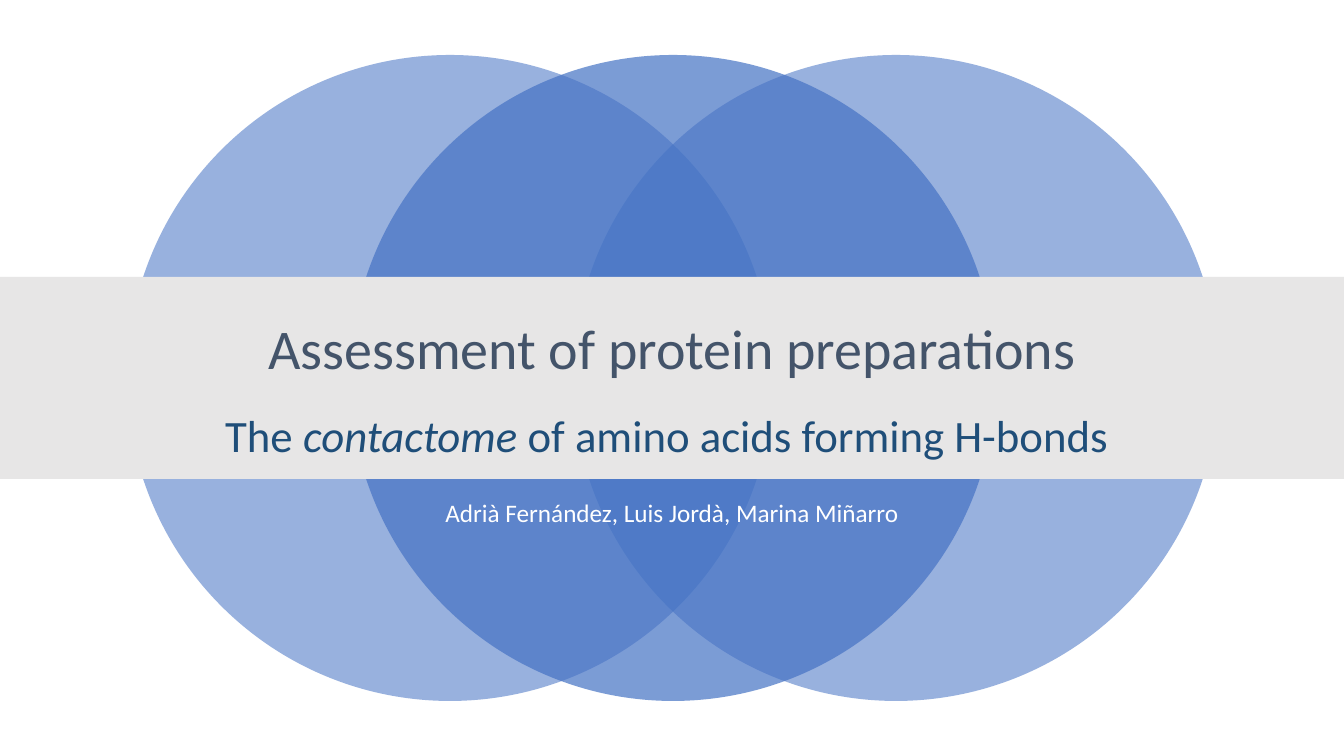
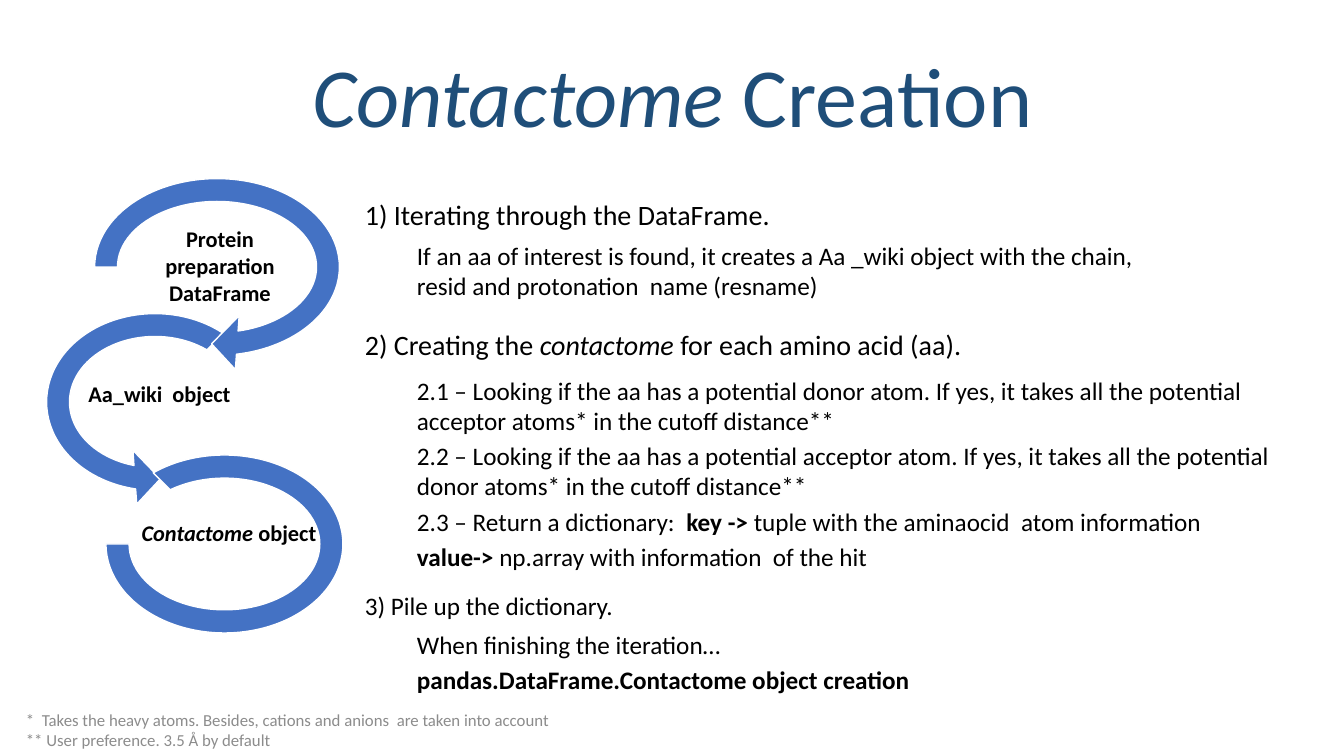
from pptx import Presentation
from pptx.dml.color import RGBColor
from pptx.enum.shapes import MSO_SHAPE
from pptx.enum.text import MSO_ANCHOR, PP_ALIGN
from pptx.oxml.ns import qn
from pptx.util import Pt
from lxml import etree

OVAL, RECTANGLE = MSO_SHAPE.OVAL, MSO_SHAPE.RECTANGLE
CIRCULAR_ARROW = MSO_SHAPE.CIRCULAR_ARROW
LEFT_CIRCULAR_ARROW = MSO_SHAPE.LEFT_CIRCULAR_ARROW
BLOCK_ARC = MSO_SHAPE.BLOCK_ARC
TOP, MIDDLE, BOTTOM = MSO_ANCHOR.TOP, MSO_ANCHOR.MIDDLE, MSO_ANCHOR.BOTTOM
LEFT, CENTER = PP_ALIGN.LEFT, PP_ALIGN.CENTER

BLUE = RGBColor(0x44, 0x72, 0xC4)
NAVY = RGBColor(0x1F, 0x4E, 0x79)
SLATE = RGBColor(0x44, 0x54, 0x6A)
BAND = RGBColor(0xE7, 0xE6, 0xE6)
GRAY = RGBColor(0x8C, 0x8C, 0x8C)
BLACK = RGBColor(0, 0, 0)
WHITE = RGBColor(0xFF, 0xFF, 0xFF)
FONT = "Calibri"
PIXEL = 12192000 / 1344
SLIDE_WIDTH, SLIDE_HEIGHT = 1344, 756

TITLE = "Assessment of protein preparations"
SUBTITLE = [("The ", ""), ("contactome", "i"), (" of amino acids forming H-bonds ", "")]
AUTHORS = "Adrià Fernández, Luis Jordà, Marina Miñarro"
CIRCLE_LEFT, CIRCLE_TOP, CIRCLE_SIZE, CIRCLE_STEP = 127, 55, 646, 223
CIRCLES = [(0, 55), (2, 55), (1, 70)]

HEADING = [("Contactome", "i"), (" Creation", "")]
ARROWS = [
    (LEFT_CIRCULAR_ARROW, (31, 298, 248, 208), (0.11, 11.42, 63, 189, 0.13)),
    (CIRCULAR_ARROW, (79, 163, 276, 208), (0.11, 11.42, 45, 108, 0.13)),
    (BLOCK_ARC, (106, 455, 237, 178), (135, 108, 0.13)),
]
LABELS = [
    ((122, 220, 196, 122), 1, [("Protein preparation DataFrame", "b")]),
    ((76, 378, 167, 75), 0.9, [("Aa_wiki  object", "b")]),
    ((131, 517, 196, 99), 0.9, [("Contactome ", "bi"), ("object", "b")]),
]
STEP_LEFT, DETAIL_LEFT = 355, 407
STEPS = [
    ((STEP_LEFT, 196, 941, 47), 20, 0.9, ["1) Iterating through the DataFrame."]),
    ((DETAIL_LEFT, 235, 783, 82), 18, 1, [
        "If an aa of interest is found, it creates a Aa _wiki object with the chain, "
        "resid and protonation  name (resname)"]),
    ((STEP_LEFT, 323, 751, 52), 20, 1, [
        [("2) Creating the ", ""), ("contactome ", "i"), ("for each amino acid (aa).", "")]]),
    ((DETAIL_LEFT, 370, 899, 211), 18, 1, [
        "2.1 – Looking if the aa has a potential donor atom. If yes, it takes all the "
        "potential acceptor atoms* in the cutoff distance**",
        "2.2 – Looking if the aa has a potential acceptor atom. If yes, it takes all the "
        "potential donor atoms* in the cutoff distance**",
        [("2.3 – Return a dictionary:  ", ""), ("key -> ", "b"),
         ("tuple with the aminaocid  atom information ", "")],
        [("value-> ", "b"), ("np.array with information  of the hit", "")]]),
    ((STEP_LEFT, 585, 941, 83), 18, 1, ["3) Pile up the dictionary. "]),
    ((DETAIL_LEFT, 624, 814, 82), 18, 1, [
        "When finishing the iteration…",
        [("pandas.DataFrame.Contactome object creation", "b")]]),
]
FOOTNOTES = [
    "*  Takes the heavy atoms. Besides, cations and anions  are taken into account",
    "** User preference. 3.5 Å by default",
]


def emu(pixels):
    return round(pixels * PIXEL)


def add_shape(slide, kind, box, fill, line=None, opacity=100, adjustments=()):
    shape = slide.shapes.add_shape(kind, *map(emu, box))
    shape.shadow.inherit = False
    shape.fill.solid()
    shape.fill.fore_color.rgb = fill
    if opacity < 100:
        color = next(shape.element.iter(qn("a:srgbClr")))
        etree.SubElement(color, qn("a:alpha")).set("val", str(opacity * 1000))
    if line is None:
        shape.line.fill.background()
    else:
        shape.line.color.rgb = line
        shape.line.width = Pt(1)
    for index, value in enumerate(adjustments):
        shape.adjustments[index] = value


def add_text(slide, box, paragraphs, size, color, align=LEFT, anchor=TOP,
             spacing=1, before=0):
    text_frame = slide.shapes.add_textbox(*map(emu, box)).text_frame
    text_frame.word_wrap = True
    text_frame.vertical_anchor = anchor
    for index, content in enumerate(paragraphs):
        paragraph = text_frame.add_paragraph() if index else text_frame.paragraphs[0]
        paragraph.alignment = align
        paragraph.line_spacing = spacing
        paragraph.space_before = Pt(before if index else 0)
        for text, style in [(content, "")] if isinstance(content, str) else content:
            run = paragraph.add_run()
            run.text = text
            run.font.name = FONT
            run.font.size = Pt(size)
            run.font.color.rgb = color
            run.font.bold = "b" in style
            run.font.italic = "i" in style
    return text_frame


def build_cover(slide):
    for position, opacity in CIRCLES:
        left = CIRCLE_LEFT + position * CIRCLE_STEP
        add_shape(slide, OVAL, (left, CIRCLE_TOP, CIRCLE_SIZE, CIRCLE_SIZE), BLUE,
                  opacity=opacity)
    add_shape(slide, RECTANGLE, (0, 277, SLIDE_WIDTH, 202), BAND)
    title = add_text(slide, (168, 306, 1008, 152), [TITLE], 40, SLATE, CENTER, spacing=0.9)
    title.margin_top = emu(15)
    add_text(slide, (168, 496, 1008, 84), [AUTHORS], 18, WHITE, CENTER, spacing=0.9)
    add_text(slide, (168, 409, 1008, 160), [SUBTITLE], 32, NAVY, CENTER, spacing=0.9)


def build_creation(slide):
    add_text(slide, (16, 710, 751, 40), FOOTNOTES, 12, GRAY, anchor=MIDDLE)
    for kind, box, adjustments in ARROWS:
        add_shape(slide, kind, box, BLUE, WHITE, adjustments=adjustments)
    for box, spacing, label in LABELS:
        add_text(slide, box, [label], 16, BLACK, CENTER, spacing=spacing)
    for box, size, spacing, paragraphs in STEPS:
        add_text(slide, box, paragraphs, size, BLACK, spacing=spacing, before=size * 0.2)
    add_text(slide, (93, 5, 1159, 146), [HEADING], 60, NAVY, CENTER, BOTTOM, 0.9)


presentation = Presentation()
presentation.slide_width = emu(SLIDE_WIDTH)
presentation.slide_height = emu(SLIDE_HEIGHT)
blank = presentation.slide_layouts[6]
for build in (build_cover, build_creation):
    build(presentation.slides.add_slide(blank))
presentation.save("out.pptx")
